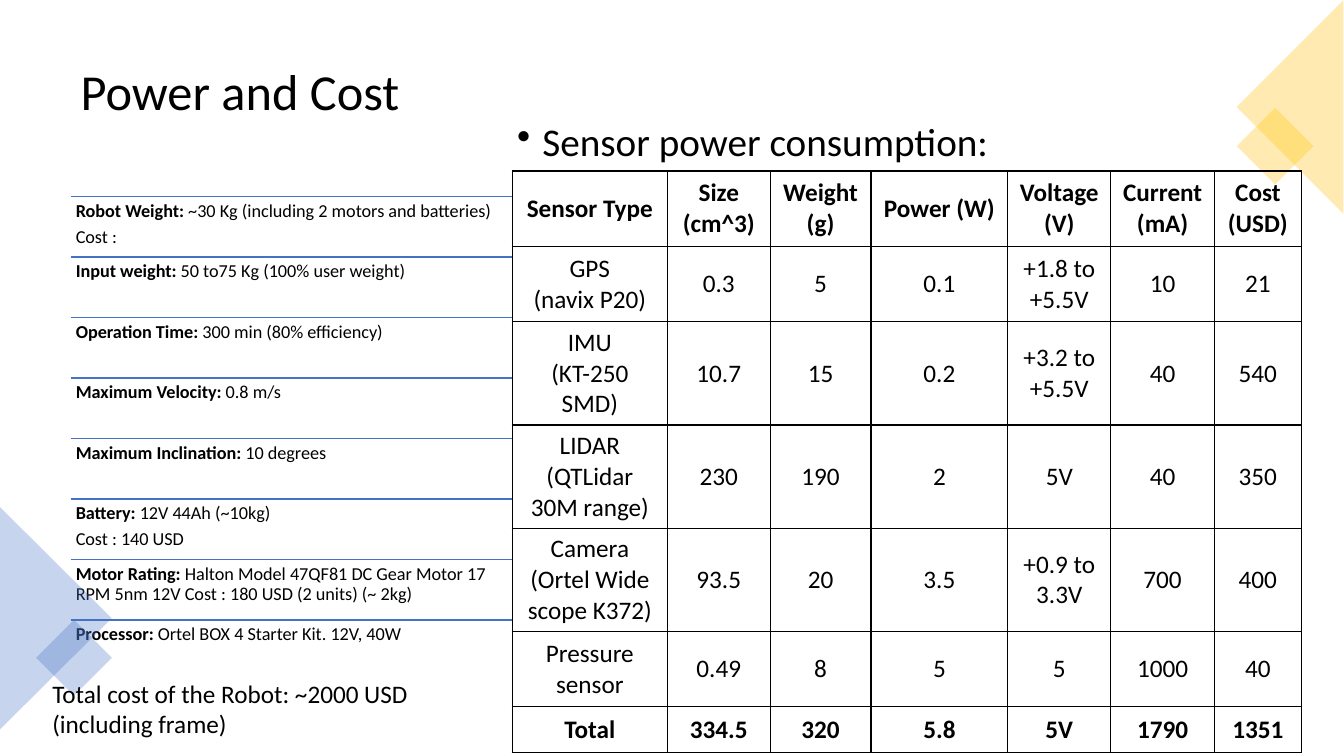
import pptx
import pptx.dml.color
import pptx.enum.shapes
import pptx.enum.text
import pptx.oxml
import pptx.oxml.ns
import pptx.util

Cm = pptx.util.Cm
Pt = pptx.util.Pt
qn = pptx.oxml.ns.qn
SHAPE = pptx.enum.shapes.MSO_SHAPE
ALIGN = pptx.enum.text.PP_ALIGN
MIDDLE = pptx.enum.text.MSO_ANCHOR.MIDDLE

BLACK, BLUE, GOLD = "000000", "4472C4", "FFC000"

SPECS = [
    ("Robot Weight: ", "~30 Kg (including 2 motors and batteries)\nCost :"),
    ("Input weight: ", "50 to75 Kg (100% user weight)"),
    ("Operation Time: ", "300 min (80% efficiency)"),
    ("Maximum Velocity: ", "0.8 m/s"),
    ("Maximum Inclination: ", "10 degrees"),
    ("Battery: ", "12V 44Ah (~10kg)\nCost : 140 USD"),
    ("Motor Rating: ", "Halton Model 47QF81 DC Gear Motor 17 RPM 5nm 12V "
                       "Cost : 180 USD (2 units) (~ 2kg)"),
    ("Processor: ", "Ortel BOX 4 Starter Kit. 12V, 40W"),
]

SENSORS = [
    ["Sensor Type", "Size\n(cm^3)", "Weight\n(g)", "Power (W)", "Voltage\n(V)",
     "Current\n(mA)", "Cost (USD)"],
    ["GPS\n(navix P20)", "0.3", "5", "0.1", "+1.8 to +5.5V", "10", "21"],
    ["IMU\n(KT-250 SMD)", "10.7", "15", "0.2", "+3.2 to +5.5V", "40", "540"],
    ["LIDAR\n(QTLidar 30M range)", "230", "190", "2", "5V", "40", "350"],
    ["Camera\n(Ortel Wide scope K372)", "93.5", "20", "3.5", "+0.9 to 3.3V", "700", "400"],
    ["Pressure sensor", "0.49", "8", "5", "5", "1000", "40"],
    ["Total", "334.5", "320", "5.8", "5V", "1790", "1351"],
]
WIDTHS = [3.91, 2.59, 2.54, 3.45, 2.59, 2.62, 2.18]
HEIGHTS = [1.9, 1.9, 2.6, 2.6, 2.6, 1.9, 1.15]


def paint(color, code):
    color.rgb = pptx.dml.color.RGBColor.from_string(code)


def write(frame, text, size=18, lead="", bold=False, align=ALIGN.LEFT,
          line=1.0, before=0, after=0, bullet=""):
    """Fill a frame, one paragraph per line of text, with a bold lead before the first."""
    for index, row in enumerate(text.split("\n")):
        para = frame.add_paragraph() if index else frame.paragraphs[0]
        para.alignment = align
        para.line_spacing = line
        para.space_before, para.space_after = Pt(before), Pt(after)
        if bullet:
            props = para._p.get_or_add_pPr()
            props.set("marL", str(Cm(0.64)))
            props.set("indent", str(-Cm(0.64)))
            mark = pptx.oxml.parse_xml(f'<a:buChar {pptx.oxml.ns.nsdecls("a")} char="{bullet}"/>')
            props.append(mark)
        parts = [(row, bold)]
        if lead and index == 0:
            parts.insert(0, (lead, True))
        for words, heavy in parts:
            run = para.add_run()
            run.text = words
            run.font.name, run.font.size, run.font.bold = "Calibri", Pt(size), heavy
            paint(run.font.color, BLACK)


def add_box(slide, left, top, width, height, text, inset=None, anchor=None, **style):
    frame = slide.shapes.add_textbox(Cm(left), Cm(top), Cm(width), Cm(height)).text_frame
    frame.word_wrap = True
    if anchor is not None:
        frame.vertical_anchor = anchor
    if inset is not None:
        frame.margin_left = frame.margin_right = Cm(inset)
        frame.margin_top = frame.margin_bottom = Cm(inset)
    write(frame, text, **style)


def add_rule(slide, left, top, width):
    rule = slide.shapes.add_connector(
        pptx.enum.shapes.MSO_CONNECTOR.STRAIGHT, Cm(left), Cm(top), Cm(left + width), Cm(top))
    paint(rule.line.color, BLUE)
    rule.line.width = Pt(1)
    rule.element.spPr.append(pptx.oxml.parse_xml(f'<a:effectLst {pptx.oxml.ns.nsdecls("a")}/>'))


def add_specs(slide):
    left, top, width, height = 1.78, 4.95, 11.14, 12.2
    pitch = height / len(SPECS)
    for index, (lead, text) in enumerate(SPECS):
        y = top + index * pitch
        add_rule(slide, left, y, width)
        add_box(slide, left, y, width, pitch, text, inset=0.13,
                lead=lead, size=13, line=0.9, after=4.5)


def add_accent(slide, kind, left, top, width, height, turn, code):
    """Add a rotated, see-through corner shape."""
    shape = slide.shapes.add_shape(kind, Cm(left), Cm(top), Cm(width), Cm(height))
    shape.rotation = turn
    shape.shadow.inherit = False
    shape.line.fill.background()
    shape.fill.solid()
    paint(shape.fill.fore_color, code)
    alpha = pptx.oxml.parse_xml(f'<a:alpha {pptx.oxml.ns.nsdecls("a")} val="30000"/>')
    shape.element.spPr.find(".//" + qn("a:srgbClr")).append(alpha)


def add_frame(cell):
    """Draw thin black borders on all four sides of a cell."""
    props = cell._tc.get_or_add_tcPr()
    for side in ("lnL", "lnR", "lnT", "lnB"):
        props.append(pptx.oxml.parse_xml(
            f'<a:{side} {pptx.oxml.ns.nsdecls("a")} w="{Pt(1)}"><a:solidFill>'
            f'<a:srgbClr val="{BLACK}"/></a:solidFill></a:{side}>'))


def add_grid(slide, left, top):
    table = slide.shapes.add_table(
        len(HEIGHTS), len(WIDTHS), Cm(left), Cm(top),
        Cm(sum(WIDTHS)), Cm(sum(HEIGHTS))).table
    table.first_row = table.horz_banding = False
    for column, width in zip(table.columns, WIDTHS):
        column.width = Cm(width)
    last = len(SENSORS) - 1
    for index, (row, height) in enumerate(zip(table.rows, HEIGHTS)):
        row.height = Cm(height)
        for cell, text in zip(row.cells, SENSORS[index]):
            add_frame(cell)
            cell.fill.background()
            cell.vertical_anchor = MIDDLE
            write(cell.text_frame, text, bold=index in (0, last), align=ALIGN.CENTER)


def main():
    deck = pptx.Presentation()
    deck.slide_width, deck.slide_height = Cm(33.87), Cm(19.05)
    slide = deck.slides.add_slide(deck.slide_layouts[6])

    add_box(slide, 1.78, 0.79, 30.3, 3.15, "Power and Cost", anchor=MIDDLE, size=36, line=0.9)
    add_specs(slide)
    add_accent(slide, SHAPE.ISOSCELES_TRIANGLE, -1.4, 14.17, 5.61, 2.82, 90, BLUE)
    add_accent(slide, SHAPE.RECTANGLE, 1.19, 15.9, 1.35, 1.35, 45, BLUE)
    add_accent(slide, SHAPE.RECTANGLE, 31.45, 3, 1.37, 1.37, 45, GOLD)
    add_accent(slide, SHAPE.ISOSCELES_TRIANGLE, 29.82, 1.35, 5.38, 2.69, 270, GOLD)
    add_box(slide, 12.78, 2.97, 13.54, 1.47, "Sensor power consumption:",
            size=28, line=0.9, before=10, bullet="•")
    add_grid(slide, 12.91, 4.31)
    add_box(slide, 1.07, 16.97, 10.49, 1.8,
            "Total cost of the Robot: ~2000 USD\n(including frame)")
    deck.save("out.pptx")


if __name__ == "__main__":
    main()
